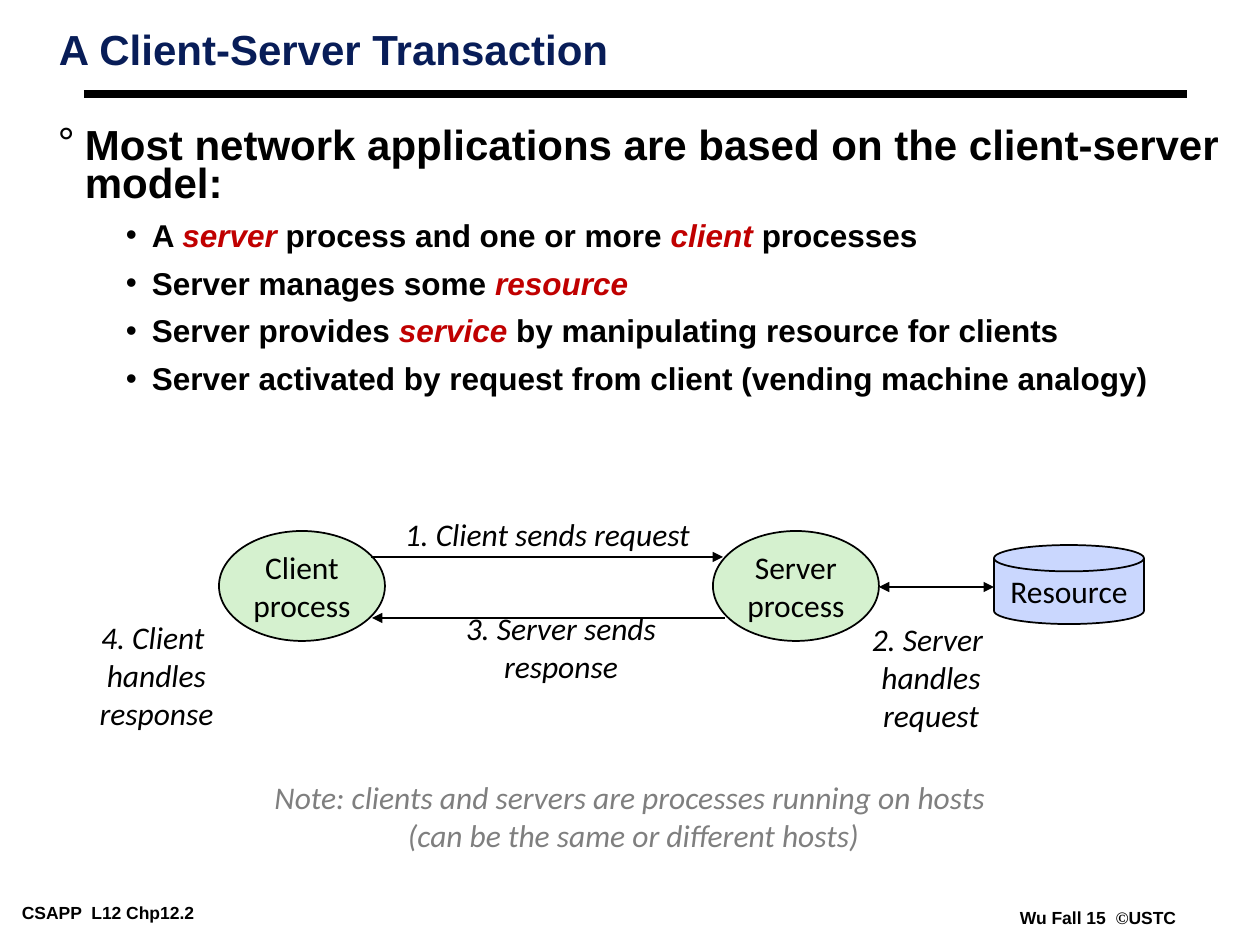
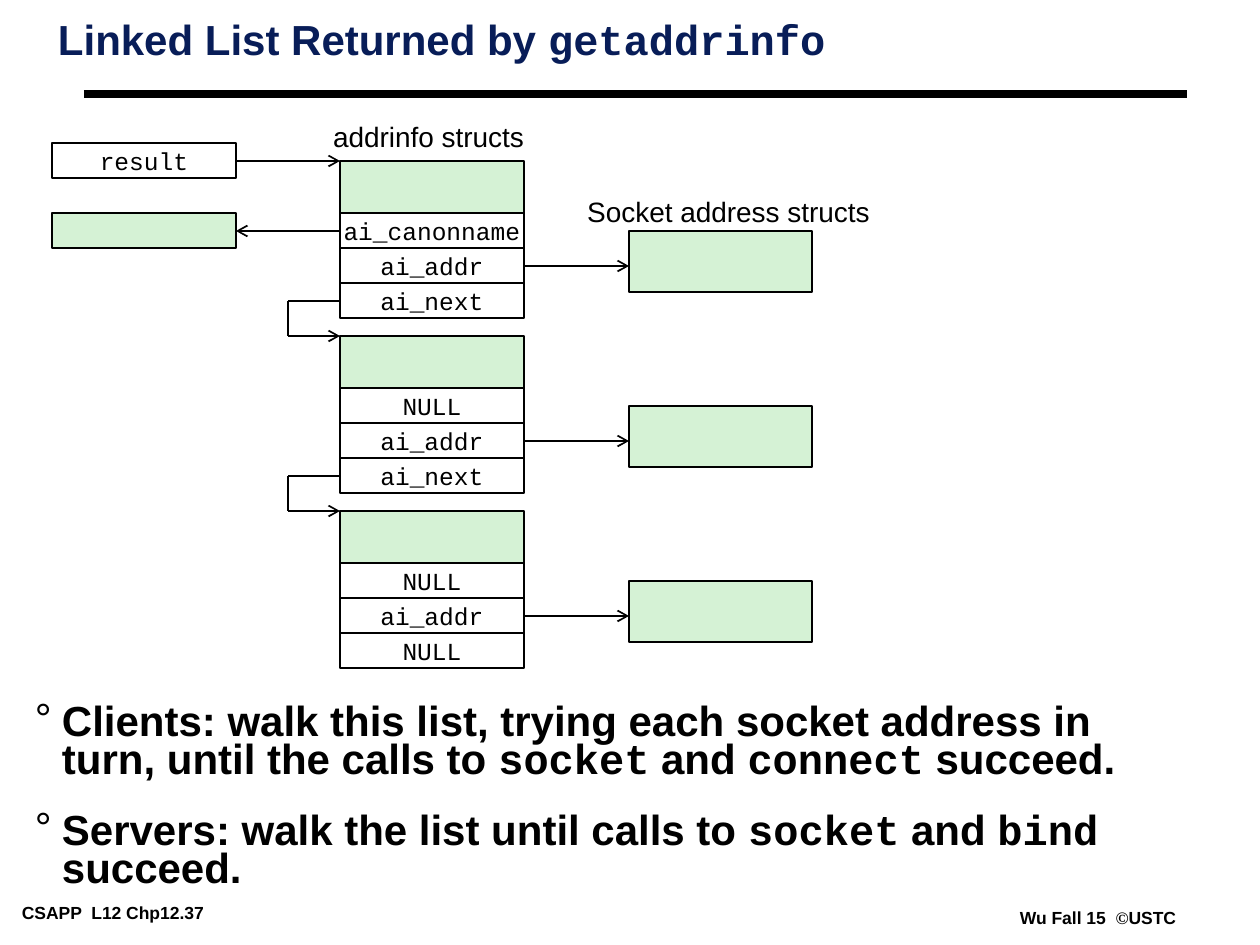
from itertools import pairwise
from pptx import Presentation
from pptx import util as u
from pptx.dml.color import RGBColor
from pptx.enum import shapes, text
from pptx.oxml import ns
from lxml import etree

PX = 914400 / 126
HUES = {"ink": "000000", "navy": "081D58", "red": "C00000", "gray": "7F7F7F",
        "white": "FFFFFF", "leaf": "D5F1CF", "mint": "D5F2D5", "sky": "CAD7FE"}
SANS, CODE, BODY, SERIF = "Arial", "Courier New", "Calibri", "Times New Roman"
KIND = shapes.MSO_SHAPE


def put(item, box, lines=(), size=18, face=BODY, hue="ink", fill=None, left=False,
        bold=False, slant=False, pad=None, marks=(), alt=None):
    item.left, item.top, item.width, item.height = [round(n * PX) for n in box]
    if fill:
        item.shadow.inherit = False
        item.fill.solid()
        item.fill.fore_color.rgb = RGBColor.from_string(HUES[fill])
        item.line.color.rgb = RGBColor.from_string(HUES["ink"])
        item.line.width = u.Pt(1)
    frame = item.text_frame
    frame.auto_size = text.MSO_AUTO_SIZE.NONE
    frame.word_wrap = left or pad is not None
    frame.vertical_anchor = text.MSO_ANCHOR.TOP if left else text.MSO_ANCHOR.MIDDLE
    side, edge = pad or ((9, 4) if left else (12, 6))
    frame.margin_left = frame.margin_right = round(side * PX)
    frame.margin_top = frame.margin_bottom = round(edge * PX)
    for i, line in enumerate(lines):
        para = frame.paragraphs[0] if i == 0 else frame.add_paragraph()
        para.alignment = text.PP_ALIGN.LEFT if left else text.PP_ALIGN.CENTER
        scale = size
        if marks:
            sign, start, hang, scale, lead, gap = marks[min(i, len(marks) - 1)]
            props = para._p.get_or_add_pPr()
            props.set("marL", str(round(start * PX)))
            props.set("indent", str(round(-hang * PX)))
            tint = etree.SubElement(props, ns.qn("a:buClr"))
            etree.SubElement(tint, ns.qn("a:srgbClr"), val=HUES["ink"])
            etree.SubElement(props, ns.qn("a:buFont"), typeface=SANS)
            etree.SubElement(props, ns.qn("a:buChar"), char=sign)
            para.level = 0 if sign == "°" else 1
            para.line_spacing = lead
            para.space_before = u.Pt(gap if i else 0)
        for k, part in enumerate(line.split("|")):
            if not part:
                continue
            run = para.add_run()
            run.text = part
            name, tone, tilt = alt if k % 2 else (face, hue, slant)
            run.font.name = name
            run.font.size = u.Pt(scale)
            run.font.bold = bold
            run.font.italic = tilt
            run.font.color.rgb = RGBColor.from_string(HUES[tone])


def link(page, dots, head=None, tail=None, width=1):
    legs = list(pairwise(dots))
    for i, (start, end) in enumerate(legs):
        line = page.shapes.add_connector(shapes.MSO_CONNECTOR.STRAIGHT,
                                         *[round(n * PX) for n in start + end])
        line.line.color.rgb = RGBColor.from_string(HUES["ink"])
        line.line.width = u.Pt(width)
        props = line._element.spPr
        stroke = props.find(ns.qn("a:ln"))
        if head and i == 0:
            etree.SubElement(stroke, ns.qn("a:headEnd"), type=head)
        if tail and i == len(legs) - 1:
            etree.SubElement(stroke, ns.qn("a:tailEnd"), type=tail)
        etree.SubElement(props, ns.qn("a:effectLst"))


deck = Presentation()
deck.slide_width, deck.slide_height = round(1260 * PX), round(945 * PX)

pages = []
for title, box, num in [
    ("A Client-Server Transaction", (50, 26, 987, 79), 2),
    ("Linked List Returned by |getaddrinfo", (49, 16, 1138, 105), 37),
]:
    page = deck.slides.add_slide(deck.slide_layouts[5])
    put(page.shapes.title, box, [title], 24, SANS, "navy", left=True, bold=True,
        alt=(CODE, "navy", False))
    page.shapes.title.text_frame.paragraphs[0].line_spacing = 0.87
    link(page, [(84, 94), (1187, 94)], width=4.5)
    for spot, foot in [((13, 898, 265, 28), f"CSAPP  L12 Chp12.{num}"),
                       ((1011, 903, 184, 28), "Wu Fall 15  |©|USTC")]:
        put(page.shapes.add_textbox(0, 0, 0, 0), spot, [foot], 10, SANS, left=True,
            bold=True, alt=(SERIF, "ink", False))
    pages.append(page)
trade, chain = pages

TOP = ("°", 27, 27, 24, 0.75, 19.5)
SUB = ("•", 94, 26, 18, 0.85, 9)

put(trade.shapes.add_textbox(0, 0, 0, 0), (49, 126, 1200, 284), [
    "Most network applications are based on the client-server model:",
    "A |server| process and one or more |client |processes",
    "Server manages some |resource",
    "Server provides |service| by manipulating resource for clients",
    "Server activated by request from client (vending machine analogy)",
], face=SANS, left=True, bold=True, marks=[TOP, SUB], alt=(SANS, "red", True))

for kind, box, words, fill in [
    (KIND.OVAL, (219, 531, 166, 110), ["Client", "process"], "leaf"),
    (KIND.OVAL, (713, 531, 166, 110), ["Server", "process"], "leaf"),
    (KIND.FLOWCHART_MAGNETIC_DISK, (994, 545, 150, 79), ["Resource"], "sky"),
]:
    put(trade.shapes.add_shape(kind, 0, 0, 0, 0), box, words, fill=fill)

link(trade, [(371, 557), (723, 557)], tail="triangle")
link(trade, [(725, 618), (372, 618)], tail="triangle")
link(trade, [(879, 587), (994, 587)], head="triangle", tail="triangle")

for box, words, pad, hue in [
    ((392, 509, 311, 50), ["1. Client sends request"], None, "ink"),
    ((859, 614, 144, 126), ["2. Server ", "handles", "request"], None, "ink"),
    ((393, 622, 336, 50), ["3. Server sends response"], (60, 6), "ink"),
    ((87, 612, 139, 126), ["4. Client ", "handles", "response"], None, "ink"),
    ((262, 772, 743, 88), ["Note: clients and servers are processes running on hosts ",
                           "(can be the same or different hosts)"], None, "gray"),
]:
    put(trade.shapes.add_textbox(0, 0, 0, 0), box, words, hue=hue, slant=True, pad=pad)

COL, WIDE, ROW, CAP, STEP = 340, 184, 35, 52, 175
cells = [((52, 143, WIDE, ROW), ["result"], "white"),
         ((52, 213, WIDE, ROW), [], "mint")]
link(chain, [(236, 161), (COL, 161)], tail="arrow")
link(chain, [(COL, 231), (236, 231)], tail="arrow")
for i, names in enumerate([("ai_canonname", "ai_addr", "ai_next"),
                           ("NULL", "ai_addr", "ai_next"),
                           ("NULL", "ai_addr", "NULL")]):
    top = 161 + i * STEP
    for k, name in enumerate(names):
        cells.append(((COL, top + CAP + k * ROW, WIDE, ROW), [name], "white"))
    cells.append(((COL, top, WIDE, CAP), [], "mint"))
    cells.append(((629, top + 70, 183, 61), [], "mint"))
    link(chain, [(COL + WIDE, top + 105), (629, top + 105)], tail="arrow")
    if names[-1] == "ai_next":
        link(chain, [(COL, top + 140), (288, top + 140), (288, top + STEP),
                     (COL, top + STEP)], tail="arrow")
for box, words, fill in cells:
    put(chain.shapes.add_shape(KIND.RECTANGLE, 0, 0, 0, 0), box, words, 14, CODE, fill=fill)

for box, label in [((321, 113, 215, 47), "addrinfo structs"),
                   ((575, 188, 307, 47), "Socket address structs")]:
    put(chain.shapes.add_textbox(0, 0, 0, 0), box, [label], 16, SANS)

put(chain.shapes.add_textbox(0, 0, 0, 0), (26, 702, 1163, 200), [
    "Clients: walk this list, trying each socket address in turn, until the calls to "
    "|socket| and |connect| succeed.",
    "Servers: walk the list until calls to |socket| and |bind| succeed.",
], face=SANS, left=True, bold=True, marks=[TOP], alt=(CODE, "ink", False))

deck.save("out.pptx")
